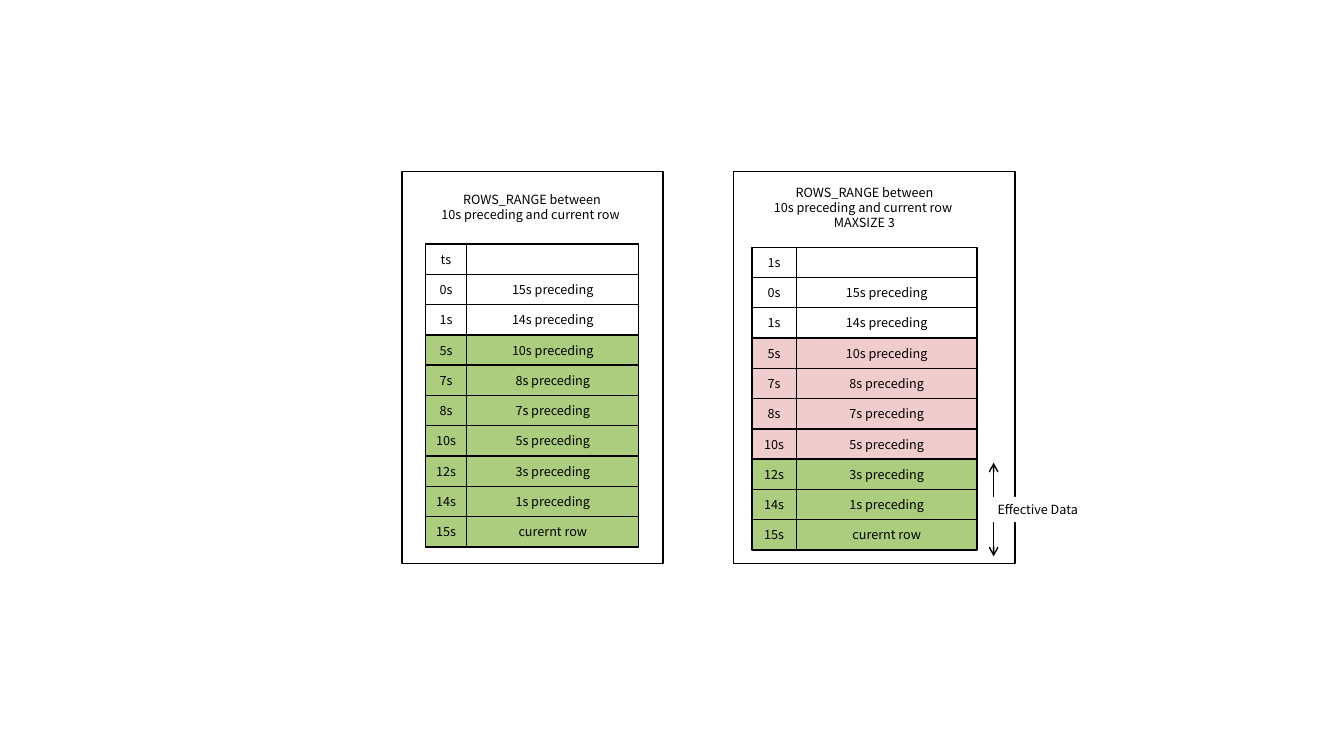
from lxml.etree import SubElement
from pptx import Presentation
from pptx.dml.color import RGBColor
from pptx.enum.shapes import MSO_CONNECTOR, MSO_SHAPE
from pptx.enum.text import MSO_ANCHOR, MSO_AUTO_SIZE, PP_ALIGN
from pptx.oxml.ns import qn
from pptx.util import Cm, Pt

BLACK = RGBColor(0x00, 0x00, 0x00)
WHITE = RGBColor(0xFF, 0xFF, 0xFF)
GREEN = RGBColor(0xAB, 0xCD, 0x7D)
PINK = RGBColor(0xF0, 0xCD, 0xCC)

FRAME_TOP, FRAME_HEIGHT = 4.32, 9.88
ROWS_HEIGHT = 7.63

EVENTS = [
    ("0s", "15s preceding"),
    ("1s", "14s preceding"),
    ("5s", "10s preceding"),
    ("7s", "8s preceding"),
    ("8s", "7s preceding"),
    ("10s", "5s preceding"),
    ("12s", "3s preceding"),
    ("14s", "1s preceding"),
    ("15s", "curernt row"),
]
RANGE_TEXT = "ROWS_RANGE between\n10s preceding and current row "


class WindowDiagram:
    font_name = "Noto Sans CJK SC"
    font_size = Pt(9)
    line_width = Pt(1)

    def __init__(self, slide):
        self.slide = slide

    def set_text(self, shape, text, wrap=True):
        frame = shape.text_frame
        frame.text = text
        frame.word_wrap = wrap
        frame.vertical_anchor = MSO_ANCHOR.MIDDLE
        if not wrap:
            frame.auto_size = MSO_AUTO_SIZE.SHAPE_TO_FIT_TEXT
        for paragraph in frame.paragraphs:
            paragraph.alignment = PP_ALIGN.CENTER
            for run in paragraph.runs:
                run.font.name = self.font_name
                run.font.size = self.font_size
                run.font.color.rgb = BLACK

    def box(self, left, top, width, height, fill=None, outlined=True):
        shape = self.slide.shapes.add_shape(
            MSO_SHAPE.RECTANGLE, Cm(left), Cm(top), Cm(width), Cm(height))
        shape.shadow.inherit = False
        if fill is None:
            shape.fill.background()
        else:
            shape.fill.solid()
            shape.fill.fore_color.rgb = fill
        if outlined:
            shape.line.color.rgb = BLACK
            shape.line.width = self.line_width
        else:
            shape.line.fill.background()
        return shape

    def heading(self, left, top, width, height, text):
        heading = self.slide.shapes.add_textbox(
            Cm(left), Cm(top), Cm(width), Cm(height))
        self.set_text(heading, text, wrap=False)

    def label(self, left, top, width, height, text):
        self.set_text(self.box(left, top, width, height, WHITE, outlined=False),
                      text, wrap=False)

    def rows(self, left, top, time_width, event_width, entries, fills):
        """Stack equal rows, each with a time cell and an event cell."""
        height = ROWS_HEIGHT / len(entries)
        for index, ((time, event), fill) in enumerate(zip(entries, fills)):
            row_top = top + index * height
            time_cell = self.box(left, row_top, time_width, height, fill)
            self.set_text(time_cell, time)
            event_cell = self.box(left + time_width, row_top, event_width, height, fill)
            if event:
                self.set_text(event_cell, event)

    def double_arrow(self, x, bottom, top):
        arrow = self.slide.shapes.add_connector(
            MSO_CONNECTOR.STRAIGHT, Cm(x), Cm(bottom), Cm(x), Cm(top))
        arrow.line.color.rgb = BLACK
        arrow.line.width = self.line_width
        line = arrow.line._get_or_add_ln()
        for end in ("a:headEnd", "a:tailEnd"):
            SubElement(line, qn(end), type="arrow")
        SubElement(arrow._element.spPr, qn("a:effectLst"))


def main():
    presentation = Presentation()
    presentation.slide_width = Cm(33.87)
    presentation.slide_height = Cm(19.05)
    blank_layout = presentation.slide_layouts[6]
    diagram = WindowDiagram(presentation.slides.add_slide(blank_layout))

    # Window limited by time only
    diagram.box(10.13, FRAME_TOP, 6.58, FRAME_HEIGHT)
    diagram.heading(10.85, 4.72, 5.11, 0.99, RANGE_TEXT)
    diagram.rows(10.72, 6.15, 1.04, 4.34, [("ts", "")] + EVENTS,
                 [None] * 3 + [GREEN] * 7)

    # Window also limited to three rows
    diagram.box(18.49, FRAME_TOP, 7.09, FRAME_HEIGHT)
    diagram.heading(19.23, 4.55, 5.11, 1.37, RANGE_TEXT + "\nMAXSIZE 3")
    diagram.rows(18.95, 6.23, 1.12, 4.55, [("1s", "")] + EVENTS,
                 [None] * 3 + [PINK] * 4 + [GREEN] * 3)
    diagram.double_arrow(25.04, 14.02, 11.66)
    diagram.label(24.74, 12.52, 2.82, 0.64, "Effective Data")

    presentation.save("out.pptx")


if __name__ == "__main__":
    main()
